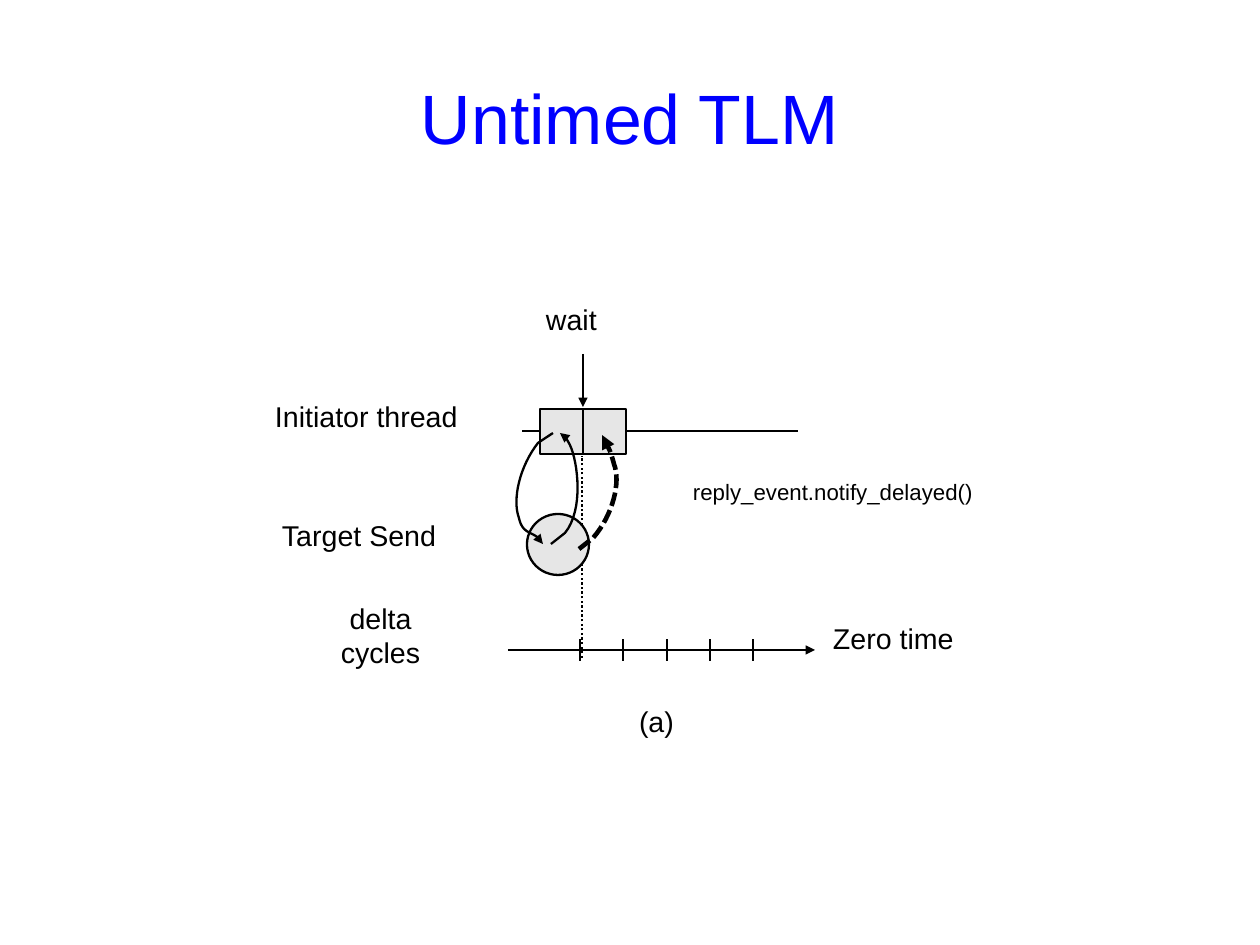
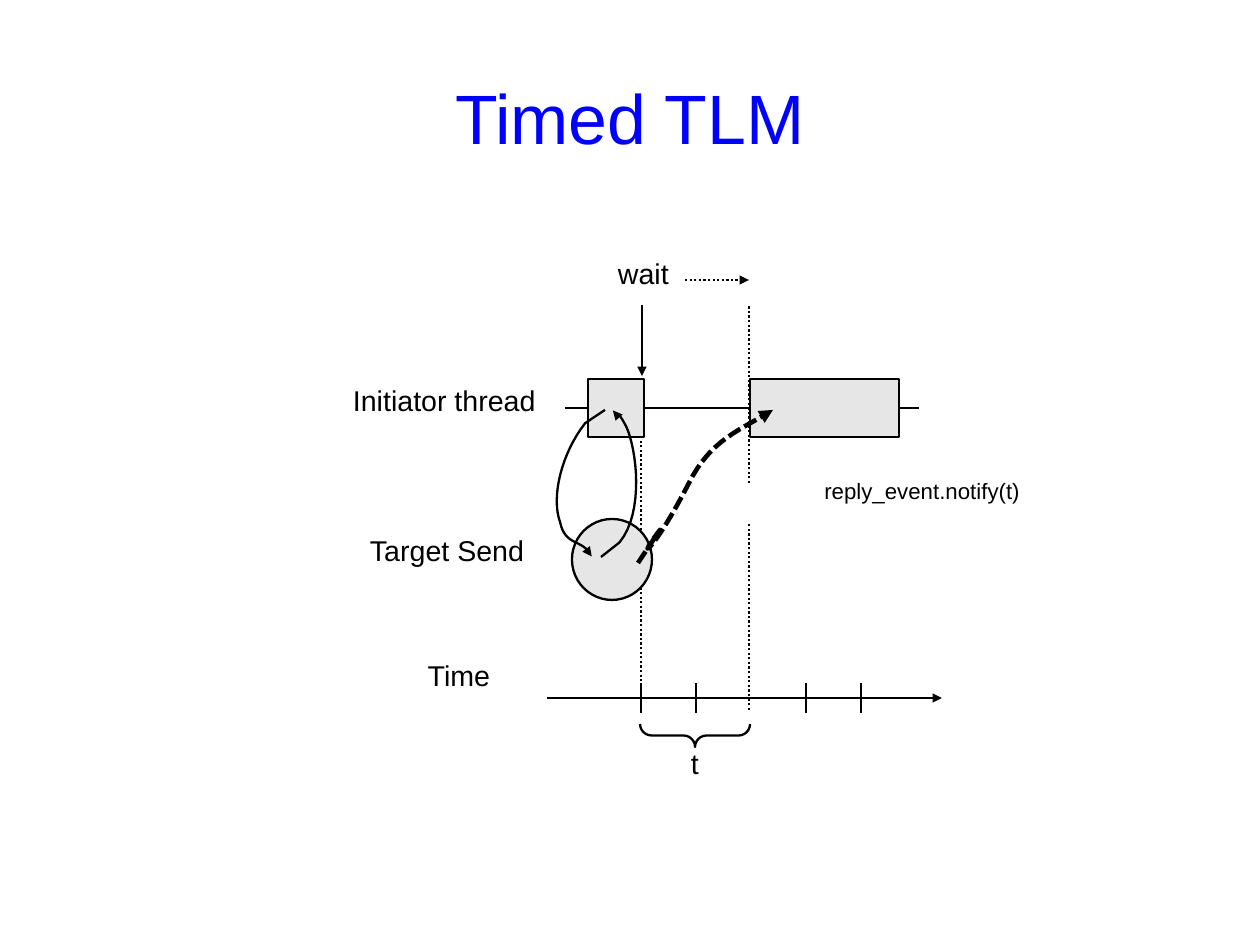
from lxml import etree
from pptx import Presentation
from pptx import util as u
from pptx.dml.color import RGBColor
from pptx.enum import dml, shapes, text
from pptx.oxml import ns

PX = 8000  # EMU in one px
BLUE = RGBColor(0x00, 0x00, 0xFF)
BLACK = RGBColor(0x00, 0x00, 0x00)
GREY = RGBColor(0xE6, 0xE6, 0xE6)
FONT = "Arial"
THIN, THICK = 1.45, 2.89
DOTTED = dml.MSO_LINE.ROUND_DOT
DASHED = dml.MSO_LINE.SQUARE_DOT
LEFT, CENTER, RIGHT = text.PP_ALIGN.LEFT, text.PP_ALIGN.CENTER, text.PP_ALIGN.RIGHT

# Offsets from the start: start, straight end, then three points per curve
CALL_CURVE = [(0, 0), (-15, 10), (-33, 33), (-41, 66), (-34, 85),
              (-30, 104), (-17, 97), (-10, 111)]
RETURN_CURVE = [(0, 0), (14, -11), (33, -34), (27, -82), (19, -99),
                (9, -118), (16, -97), (9, -111)]


def emu(*lengths):
    return [round(length * PX) for length in lengths]


def bezier(start, control_1, control_2, end, steps=16):
    """Points along a cubic curve, without its start."""
    points = []
    for step in range(1, steps + 1):
        t = step / steps
        weights = ((1 - t) ** 3, 3 * t * (1 - t) ** 2, 3 * t * t * (1 - t), t ** 3)
        corners = (start, control_1, control_2, end)
        points.append(tuple(sum(w * corner[axis] for w, corner in zip(weights, corners))
                            for axis in (0, 1)))
    return points


class Deck:
    """Holds the presentation, its style and the current slide."""

    def __init__(self):
        self.presentation = Presentation()
        self.presentation.slide_width, self.presentation.slide_height = emu(1260, 945)
        self.slide = None

    def add_slide(self, title):
        self.slide = self.presentation.slides.add_slide(self.presentation.slide_layouts[5])
        shape = self.slide.shapes.title
        self.place(shape, 63, 38, 1134, 158)
        self.set_text(shape.text_frame, [title], 44, BLUE, CENTER, (0, 0))
        shape.text_frame.vertical_anchor = text.MSO_ANCHOR.MIDDLE

    def place(self, shape, *box):
        shape.left, shape.top, shape.width, shape.height = emu(*box)

    def set_text(self, frame, lines, size, color, align, insets):
        frame.word_wrap = True
        frame.auto_size = text.MSO_AUTO_SIZE.NONE
        frame.margin_left = frame.margin_right = insets[0] * PX
        frame.margin_top = frame.margin_bottom = insets[1] * PX
        for index, line in enumerate(lines):
            paragraph = frame.add_paragraph() if index else frame.paragraphs[0]
            paragraph.alignment = align
            run = paragraph.add_run()
            run.text = line
            run.font.size = u.Pt(size)
            run.font.name = FONT
            run.font.color.rgb = color

    def label(self, box, *lines, size=18, align=LEFT):
        shape = self.slide.shapes.add_textbox(*emu(*box))
        self.set_text(shape.text_frame, lines, size, BLACK, align, (11, 6))

    def stroke(self, shape, width=THIN, dash=None, arrow=False):
        shape.line.color.rgb = BLACK
        shape.line.width = u.Pt(width)
        if dash:
            shape.line.dash_style = dash
        if arrow:
            outline = shape._element.spPr.find(ns.qn("a:ln"))
            etree.SubElement(outline, ns.qn("a:tailEnd"), type="triangle")

    def line(self, start, end, dash=None, arrow=False):
        connector = self.slide.shapes.add_connector(
            shapes.MSO_CONNECTOR.STRAIGHT, *emu(*start, *end))
        self.stroke(connector, THIN, dash, arrow)
        etree.SubElement(connector._element.spPr, ns.qn("a:effectLst"))

    def shape(self, kind, *box, fill=GREY):
        shape = self.slide.shapes.add_shape(kind, *emu(*box))
        shape.shadow.inherit = False
        if fill is None:
            shape.fill.background()
        else:
            shape.fill.solid()
            shape.fill.fore_color.rgb = fill
        self.stroke(shape)
        return shape

    def box(self, *box):
        self.shape(shapes.MSO_SHAPE.RECTANGLE, *box)

    def circle(self, *box):
        self.shape(shapes.MSO_SHAPE.OVAL, *box)

    def brace_down(self, left, top, width, height):
        shift = (width - height) / 2
        brace = self.shape(shapes.MSO_SHAPE.RIGHT_BRACE, left + shift, top - shift,
                           height, width, fill=None)
        brace.adjustments[0] = 0.5
        brace.rotation = 90

    def curved_arrow(self, points, width=THIN, dash=None):
        """A straight first piece, then curves of three points each."""
        outline = points[:2]
        for index in range(2, len(points), 3):
            outline = outline + bezier(points[index - 1], *points[index:index + 3])
        start, *rest = [emu(*point) for point in outline]
        builder = self.slide.shapes.build_freeform(*start, scale=1.0)
        builder.add_line_segments(rest, close=False)
        shape = builder.convert_to_shape()
        shape.shadow.inherit = False
        shape.fill.background()
        self.stroke(shape, width, dash, arrow=True)

    def call_and_return(self, call, reply, scale=1):
        for (x, y), curve in ((call, CALL_CURVE), (reply, RETURN_CURVE)):
            self.curved_arrow([(x + scale * dx, y + scale * dy) for dx, dy in curve])

    def time_axis(self, left, right, y, ticks, half_tick):
        self.line((left, y), (right, y), arrow=True)
        for x in ticks:
            self.line((x, y + half_tick), (x, y - half_tick))


def untimed_slide(deck):
    deck.add_slide("Untimed TLM")
    deck.label((264, 393, 252, 64), "Initiator thread")
    deck.label((271, 512, 221, 64), "Target Send")
    deck.label((535, 296, 93, 64), "wait")
    deck.label((613, 472, 371, 53), "reply_event.notify_delayed()", size=14, align=RIGHT)
    deck.label((318, 595, 125, 114), "delta", "cycles", align=CENTER)
    deck.label((822, 615, 176, 64), "Zero time")
    deck.label((621, 698, 71, 64), "(a)", align=CENTER)
    deck.line((522, 431), (798, 431))
    for left in (540, 583):
        deck.box(left, 409, 43, 45)
    deck.line((583, 354), (583, 407), arrow=True)
    deck.time_axis(508, 815, 650, [580 + round(43.3 * step) for step in range(5)], 11)
    deck.line((582, 658), (582, 456), DOTTED)
    deck.circle(527, 514, 62, 61)
    deck.call_and_return((553, 433), (551, 544))
    deck.curved_arrow([(579, 549), (593, 538), (613, 515), (621, 482), (614, 464),
                       (609, 445), (608, 449), (602, 435)], THICK, DASHED)


def timed_slide(deck):
    deck.add_slide("Timed TLM")
    deck.label((342, 377, 323, 85), "Initiator thread")
    deck.label((359, 527, 283, 85), "Target Send")
    deck.label((607, 250, 118, 85), "wait")
    deck.label((391, 652, 136, 85), "Time", align=CENTER)
    deck.label((680, 740, 48, 85), "t")
    deck.label((686, 471, 345, 70), "reply_event.notify(t)", size=14, align=RIGHT)
    deck.line((565, 408), (919, 408))
    deck.box(588, 379, 56, 58)
    deck.line((642, 305), (642, 376), arrow=True)
    deck.time_axis(547, 942, 698, [641 + 55 * step for step in (0, 1, 3, 4)], 15)
    deck.line((641, 709), (641, 441), DOTTED)
    deck.circle(572, 519, 80, 81)
    deck.box(750, 379, 149, 58)
    deck.call_and_return((605, 410), (601, 557), 1.32)
    deck.curved_arrow([(638, 563), (660, 530), (633, 565), (654, 552), (689, 483),
                       (711, 439), (741, 430), (773, 410)], THICK, DASHED)
    for top, bottom in ((305, 483), (523, 710)):
        deck.line((749, bottom), (749, top), DOTTED)
    deck.line((685, 280), (749, 280), DOTTED, arrow=True)
    deck.brace_down(640, 724, 110, 23)


def main():
    deck = Deck()
    untimed_slide(deck)
    timed_slide(deck)
    deck.presentation.save("out.pptx")


if __name__ == "__main__":
    main()
